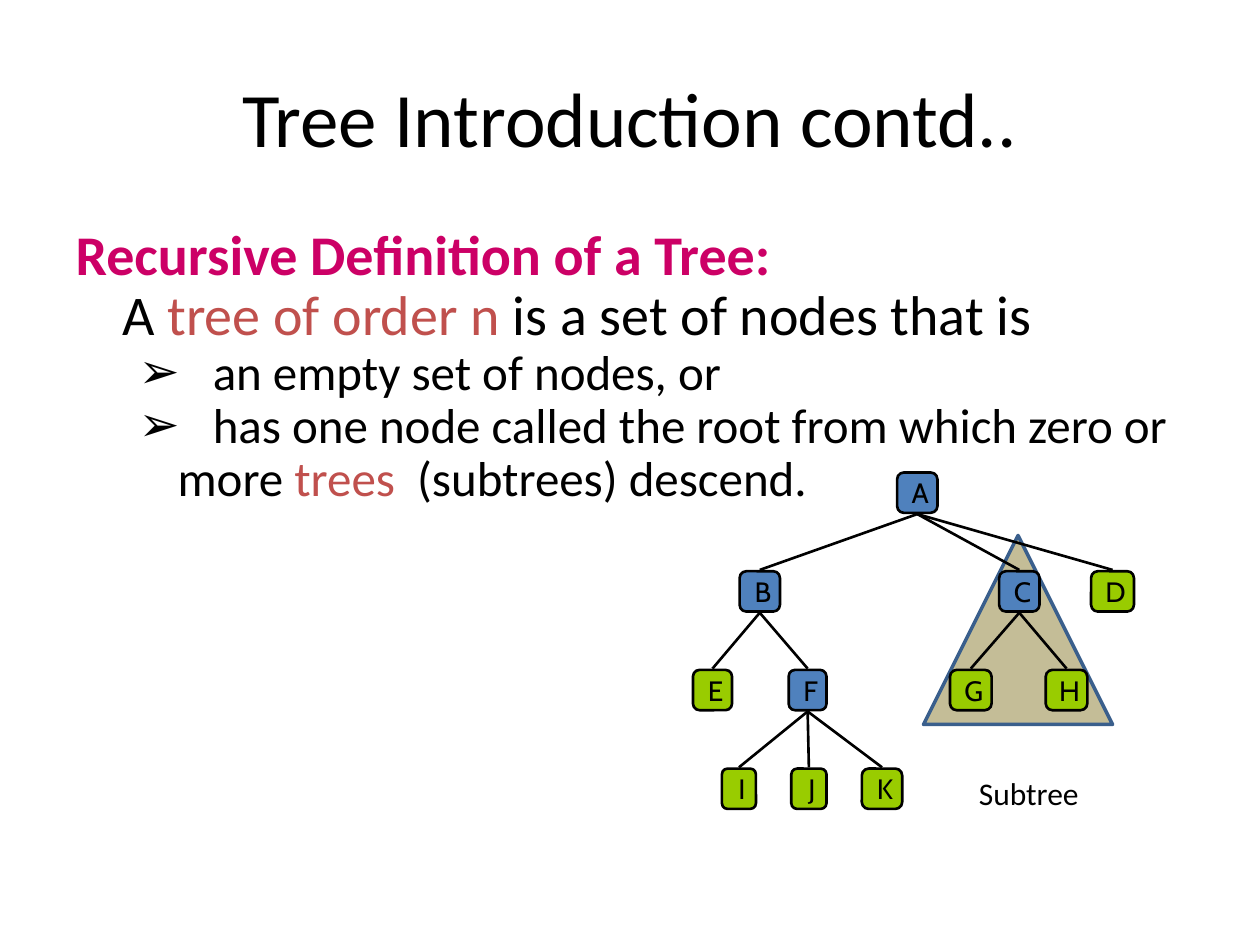
import pptx
import pptx.util
import pptx.dml.color
import pptx.enum.shapes
import pptx.enum.text
import pptx.oxml.ns
import lxml.etree

Inches = pptx.util.Inches
Pt = pptx.util.Pt
SHAPE = pptx.enum.shapes.MSO_SHAPE
ALIGN = pptx.enum.text.PP_ALIGN
ANCHOR = pptx.enum.text.MSO_ANCHOR

BLACK, PINK, RED = "000000", "CC0066", "C0504D"
INNER, LEAF = "4F81BD", "99CC00"
ROW_PITCH, NODE_HEIGHT = 2.35 / 3, 0.32

NODES = [
    ("A", 1.62, 0, 0.32, None),
    ("B", 0.37, 1, 0.32, "A"),
    ("C", 2.43, 1, 0.32, "A"),
    ("D", 3.16, 1, 0.34, "A"),
    ("E", 0, 2, 0.31, "B"),
    ("F", 0.76, 2, 0.3, "B"),
    ("G", 2.04, 2, 0.33, "C"),
    ("H", 2.8, 2, 0.33, "C"),
    ("I", 0.23, 3, 0.27, "F"),
    ("J", 0.78, 3, 0.28, "F"),
    ("K", 1.34, 3, 0.32, "F"),
]

BODY = [
    (0, 32, 0.38, -0.38, None,
     [("Recursive Definition of a Tree:", PINK, 0)]),
    (0, 32, 0.37, 0, None,
     [("A ", BLACK, 0), ("tree of order n", RED, 0),
      (" is a set of nodes that is", BLACK, 0)]),
    (1, 28, 0.81, -0.31, "\u27a2",
     [(" ", BLACK, 12.7), ("an empty set of nodes, or", BLACK, 0)]),
    (1, 28, 0.81, -0.31, "\u27a2",
     [(" ", BLACK, 12.7),
      ("has one node called the root from which zero or more ", BLACK, 0),
      ("trees", RED, 0), (" ", BLACK, 6.3),
      ("(subtrees) descend.", BLACK, 0)]),
]


def color(value):
    return pptx.dml.color.RGBColor.from_string(value)


def format_run(run, size, value, font="Calibri", bold=False):
    run.font.size = Pt(size)
    run.font.name = font
    run.font.bold = bold
    run.font.color.rgb = color(value)


def place(shape, left, top, width, height):
    shape.left, shape.top = Inches(left), Inches(top)
    shape.width, shape.height = Inches(width), Inches(height)


def paint(shape, fill, line, width):
    shape.shadow.inherit = False
    shape.fill.solid()
    shape.fill.fore_color.rgb = color(fill)
    shape.line.color.rgb = color(line)
    shape.line.width = Pt(width)


def set_bullet(paragraph, margin, indent, character):
    properties = paragraph._p.get_or_add_pPr()
    properties.set("marL", str(Inches(margin)))
    properties.set("indent", str(Inches(indent)))
    name = "a:buChar" if character else "a:buNone"
    bullet = lxml.etree.SubElement(properties, pptx.oxml.ns.qn(name))
    if character:
        bullet.set("char", character)


def fill_title(slide, left, top, width, height):
    title = slide.shapes.title
    place(title, left, top, width, height)
    title.text_frame.text = "Tree Introduction contd.."
    title.text_frame.vertical_anchor = ANCHOR.MIDDLE
    paragraph = title.text_frame.paragraphs[0]
    paragraph.alignment = ALIGN.CENTER
    format_run(paragraph.runs[0], 44, BLACK)


def fill_body(slide, left, top, width, height):
    body = slide.placeholders[1]
    place(body, left, top, width, height)
    frame = body.text_frame
    frame.auto_size = pptx.enum.text.MSO_AUTO_SIZE.NONE
    for index, (level, size, margin, indent, bullet, parts) in enumerate(BODY):
        paragraph = frame.add_paragraph() if index else frame.paragraphs[0]
        paragraph.level = level
        paragraph.line_spacing = 0.9
        paragraph.space_before = Pt(0)
        set_bullet(paragraph, margin, indent, bullet)
        for text, value, spacing in parts:
            run = paragraph.add_run()
            run.text = text
            format_run(run, size, value, bold=value == PINK)
            if spacing:
                run._r.get_or_add_rPr().set("spc", str(round(spacing * 100)))


def add_node(slide, name, left, top, width, fill):
    node = slide.shapes.add_shape(
        SHAPE.ROUNDED_RECTANGLE, Inches(left), Inches(top),
        Inches(width), Inches(NODE_HEIGHT))
    paint(node, fill, BLACK, 1.5)
    frame = node.text_frame
    frame.text = name
    frame.word_wrap = False
    frame.vertical_anchor = ANCHOR.MIDDLE
    frame.margin_left, frame.margin_right = Inches(0.1), Inches(0.05)
    frame.margin_top = frame.margin_bottom = 0
    frame.paragraphs[0].alignment = ALIGN.CENTER
    format_run(frame.paragraphs[0].runs[0], 16, BLACK, "Cabin")
    return node


def add_edge(slide, parent, child):
    gap = Inches(0.01)
    edge = slide.shapes.add_connector(
        pptx.enum.shapes.MSO_CONNECTOR.STRAIGHT,
        parent.left + parent.width // 2, parent.top + parent.height + gap,
        child.left + child.width // 2, child.top - gap)
    edge.line.color.rgb = color(BLACK)
    edge.line.width = Pt(1.5)
    lxml.etree.SubElement(
        edge._element.spPr, pptx.oxml.ns.qn("a:effectLst"))


def add_tree(slide, left, top):
    triangle = slide.shapes.add_shape(
        SHAPE.ISOSCELES_TRIANGLE, Inches(left + 1.83), Inches(top + 0.5),
        Inches(1.5), Inches(1.5))
    paint(triangle, "C4BD97", "3A5F8C", 2)
    parents = {parent for *_, parent in NODES}
    nodes = {}
    for name, offset, row, width, parent in NODES:
        fill = INNER if name in parents else LEAF
        nodes[name] = add_node(slide, name, left + offset,
                               top + row * ROW_PITCH, width, fill)
        if parent:
            add_edge(slide, nodes[parent], nodes[name])
    label = slide.shapes.add_textbox(
        Inches(left + 2.17), Inches(top + 2.34), Inches(1.25), Inches(0.4))
    label.text_frame.word_wrap = True
    label.text_frame.text = "Subtree"
    format_run(label.text_frame.paragraphs[0].runs[0], 18, BLACK)


presentation = pptx.Presentation()
presentation.slide_width = Inches(10)
presentation.slide_height = Inches(7.5)
slide = presentation.slides.add_slide(presentation.slide_layouts[1])
fill_title(slide, 0.5, 0.3, 9, 1.25)
fill_body(slide, 0.5, 1.75, 9, 4.95)
add_tree(slide, 5.5, 3.75)
presentation.save("out.pptx")
